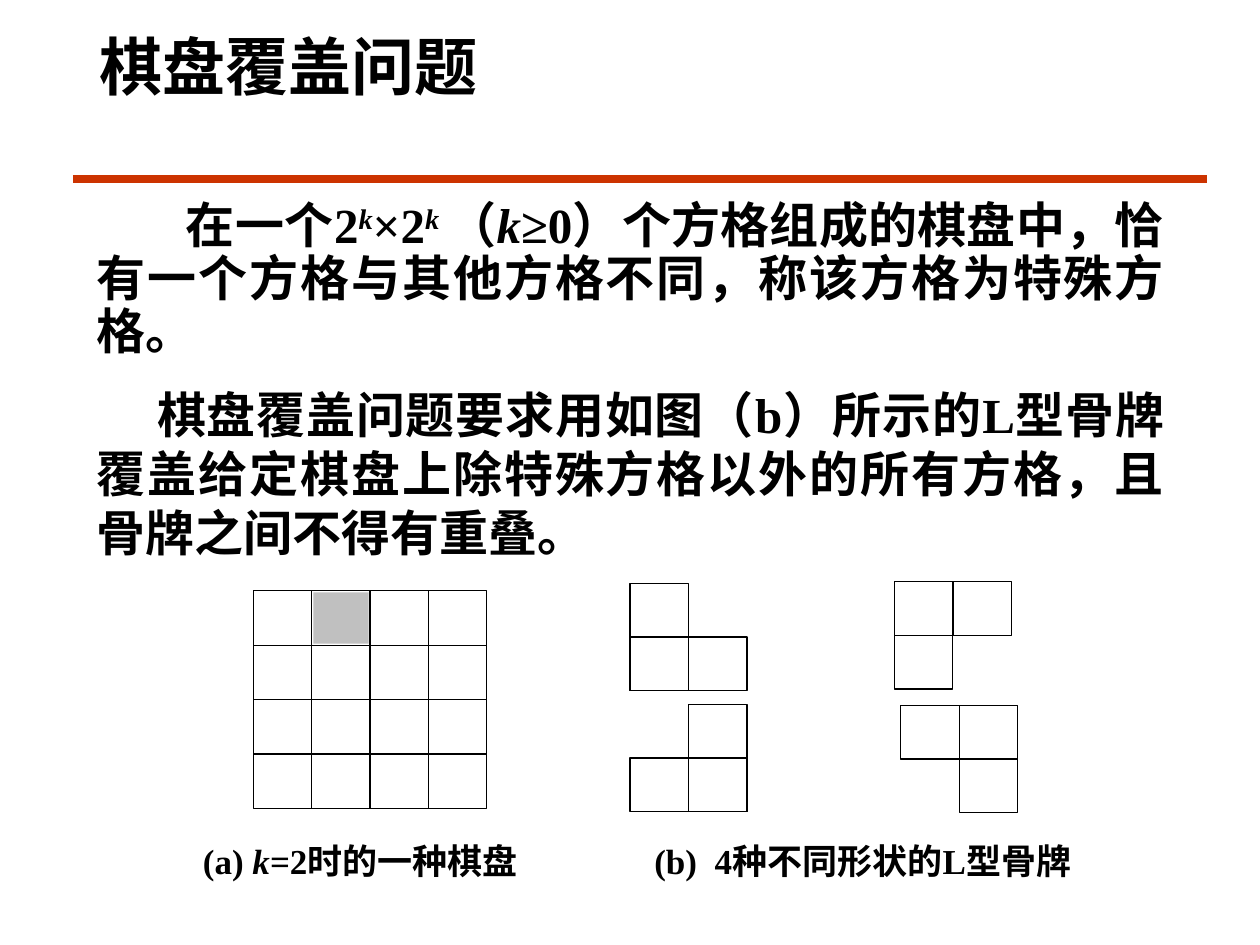
from lxml.etree import SubElement
from pptx import Presentation
from pptx.dml.color import RGBColor
from pptx.enum.shapes import MSO_CONNECTOR, MSO_SHAPE
from pptx.enum.text import MSO_ANCHOR, PP_ALIGN
from pptx.oxml.ns import qn
from pptx.util import Cm, Pt

BLACK, WHITE, GRAY, RED = "000000", "FFFFFF", "C0C0C0", "CC3300"
CHINESE_FONT, LATIN_FONT = "Noto Sans CJK SC", "Times New Roman"
SUPERSCRIPT = "30000"

BOARD_LEFT, BOARD_TOP, BOARD_WIDTH, BOARD_HEIGHT = 5.11, 11.91, 4.7, 4.39
BOARD_CELLS = 4
TILE_WIDTH, TILE_HEIGHT = 1.18, 1.08
DOMINOES = [
    (12.7, 11.76, 0, 1),
    (12.7, 14.2, 1, 1),
    (18.03, 11.73, 0, 0),
    (18.16, 14.22, 1, 0),
]


def color(value):
    return RGBColor.from_string(value)


def add_line(page, x1, y1, x2, y2, line_color=BLACK, width=0.75):
    line = page.shapes.add_connector(
        MSO_CONNECTOR.STRAIGHT, Cm(x1), Cm(y1), Cm(x2), Cm(y2))
    line.line.color.rgb = color(line_color)
    line.line.width = Pt(width)
    SubElement(line._element.spPr, qn("a:effectLst"))


def add_rectangle(page, left, top, width, height, fill=WHITE, outlined=True):
    box = page.shapes.add_shape(
        MSO_SHAPE.RECTANGLE, Cm(left), Cm(top), Cm(width), Cm(height))
    box.shadow.inherit = False
    box.fill.solid()
    box.fill.fore_color.rgb = color(fill)
    if outlined:
        box.line.color.rgb = color(BLACK)
        box.line.width = Pt(0.75)
    else:
        box.line.fill.background()
    return box


def add_text_box(page, left, top, width, height):
    box = page.shapes.add_textbox(Cm(left), Cm(top), Cm(width), Cm(height))
    box.text_frame.word_wrap = True
    return box


def write_paragraph(para, spans, size, font=LATIN_FONT, align=PP_ALIGN.JUSTIFY):
    para.alignment = align
    para.font.name = font
    para.font.size = Pt(size)
    para.font.bold = True
    para.font.color.rgb = color(BLACK)
    properties = para._p.get_or_add_pPr()
    SubElement(properties.find(qn("a:defRPr")), qn("a:ea"), typeface=CHINESE_FONT)
    for text, italic, baseline in spans:
        span = para.add_run()
        span.text = text
        if italic:
            span.font.italic = True
        if baseline:
            span._r.get_or_add_rPr().set("baseline", baseline)


def plain(text):
    return text, False, None


def variable(text, baseline=None):
    return text, True, baseline


def add_title(page):
    box = add_text_box(page, 1.75, 0.43, 17.98, 1.78)
    write_paragraph(box.text_frame.paragraphs[0], [plain("棋盘覆盖问题")],
                    36, CHINESE_FONT, PP_ALIGN.LEFT)


def add_description(page):
    frame = add_rectangle(page, 1.7, 3.94, 22.02, 7.62, outlined=False).text_frame
    frame.word_wrap = True
    frame.vertical_anchor = MSO_ANCHOR.TOP
    definition, task = frame.paragraphs[0], frame.add_paragraph()
    write_paragraph(definition, [
        plain("在一个2"),
        variable("k", SUPERSCRIPT),
        plain("×2"),
        variable("k ", SUPERSCRIPT),
        plain("（"),
        variable("k"),
        plain("≥0）个方格组成的棋盘中，恰有一个方格与其他方格不同，称该方格为特殊方格。"),
    ], 28)
    write_paragraph(task, [plain(
        "棋盘覆盖问题要求用如图（b）所示的L型骨牌覆盖给定棋盘上除特殊方格以外的所有方格，"
        "且骨牌之间不得有重叠。")], 28)
    definition.line_spacing = 0.9
    task.space_before = Pt(14)
    for para, indent in ((definition, 1.8), (task, 1.22)):
        para._p.get_or_add_pPr().set("indent", str(Cm(indent)))


def add_board(page):
    left, top = BOARD_LEFT, BOARD_TOP
    right, bottom = left + BOARD_WIDTH, top + BOARD_HEIGHT
    cell_width = BOARD_WIDTH / BOARD_CELLS
    cell_height = BOARD_HEIGHT / BOARD_CELLS
    add_rectangle(page, left, top, BOARD_WIDTH, BOARD_HEIGHT)
    for index in range(1, BOARD_CELLS):
        x, y = left + index * cell_width, top + index * cell_height
        add_line(page, left, y, right, y)
        add_line(page, x, top, x, bottom)
    inset = 0.03
    add_rectangle(page, left + cell_width + inset, top + inset,
                  cell_width - 2 * inset, cell_height - 2 * inset,
                  GRAY, outlined=False)


def add_domino(page, left, top, tall_column, wide_row):
    middle, wide_top = left + TILE_WIDTH, top + wide_row * TILE_HEIGHT
    add_rectangle(page, left + tall_column * TILE_WIDTH, top,
                  TILE_WIDTH, 2 * TILE_HEIGHT)
    add_rectangle(page, left, wide_top, 2 * TILE_WIDTH, TILE_HEIGHT)
    add_line(page, middle, wide_top, middle, wide_top + TILE_HEIGHT)


def add_caption(page):
    frame = add_text_box(page, 4.09, 16.92, 19.2, 1.47).text_frame
    frame.margin_left = frame.margin_right = 0
    frame.margin_top = frame.margin_bottom = 0
    para = frame.paragraphs[0]
    write_paragraph(para, [
        plain("(a) "),
        variable("k"),
        plain("=2时的一种棋盘\t(b)  4种不同形状的L型骨牌"),
    ], 20, align=PP_ALIGN.LEFT)
    properties = para._p.get_or_add_pPr()
    tabs = SubElement(properties, qn("a:tabLst"))
    SubElement(tabs, qn("a:tab"), pos=str(Cm(9.1)), algn="l")
    properties.find(qn("a:defRPr")).addprevious(tabs)


def main():
    deck = Presentation()
    deck.slide_width, deck.slide_height = Cm(25.4), Cm(19.05)
    page = deck.slides.add_slide(deck.slide_layouts[6])
    add_line(page, 1.47, 3.6, 24.33, 3.6, RED, 4.5)
    add_title(page)
    add_description(page)
    add_board(page)
    for domino in DOMINOES:
        add_domino(page, *domino)
    add_caption(page)
    deck.save("out.pptx")


if __name__ == "__main__":
    main()
